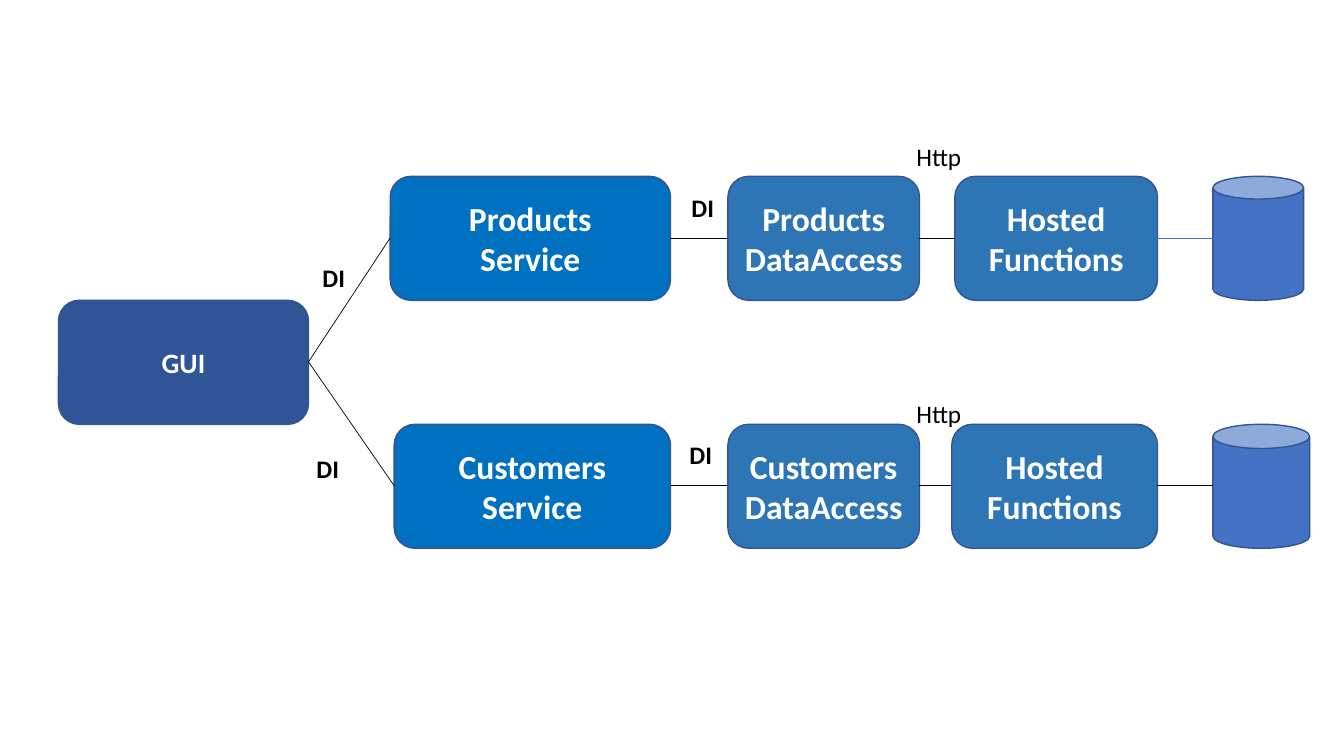
"""Build a slide showing a GUI with two service chains down to their databases."""
from itertools import pairwise

from lxml.etree import SubElement
from pptx import Presentation
from pptx.dml.color import RGBColor
from pptx.enum.shapes import MSO_CONNECTOR, MSO_SHAPE as SHAPE
from pptx.enum.text import MSO_ANCHOR, MSO_AUTO_SIZE, PP_ALIGN
from pptx.oxml.ns import qn
from pptx.util import Emu, Pt

PX = 9144
SLIDE_W, SLIDE_H = 1333, 750
BOX_H = 123
LABEL_H = 40
FONT = "Calibri"

WHITE = RGBColor(0xFF, 0xFF, 0xFF)
BLACK = RGBColor(0x00, 0x00, 0x00)
NAVY = RGBColor(0x2F, 0x55, 0x97)
BRIGHT_BLUE = RGBColor(0x00, 0x70, 0xC0)
STEEL = RGBColor(0x2E, 0x75, 0xB6)
ROYAL = RGBColor(0x44, 0x72, 0xC4)
OUTLINE = RGBColor(0x32, 0x54, 0x91)

GUI = ("GUI", 58, 248)
GUI_TOP = 298

CHAINS = [
    {
        "top": 175,
        "stages": [
            ("Products\nService", 387, 278, BRIGHT_BLUE),
            ("Products\nDataAccess", 722, 190, STEEL),
            ("Hosted\nFunctions", 947, 201, STEEL),
        ],
        "database": (1203, 90),
        "database_link": ROYAL,
    },
    {
        "top": 421,
        "stages": [
            ("Customers\nService", 391, 274, BRIGHT_BLUE),
            ("Customers\nDataAccess", 722, 190, STEEL),
            ("Hosted\nFunctions", 944, 204, STEEL),
        ],
        "database": (1203, 96),
        "database_link": BLACK,
    },
]

LABELS = [
    ("DI", 310, 255, 43, True),
    ("DI", 304, 445, 43, True),
    ("DI", 676, 186, 43, True),
    ("DI", 674, 431, 43, True),
    ("Http", 899, 135, 66, False),
    ("Http", 899, 390, 66, False),
]


def px(*lengths):
    return [Emu(length * PX) for length in lengths]


def write(frame, text, size, color, bold, align):
    frame.text = text
    for paragraph in frame.paragraphs:
        paragraph.alignment = align
        for run in paragraph.runs:
            run.font.name = FONT
            run.font.size = Pt(size)
            run.font.bold = bold
            run.font.color.rgb = color


def add_block(shapes, kind, left, top, width, fill, text="", size=24):
    block = shapes.add_shape(kind, *px(left, top, width, BOX_H))
    block.shadow.inherit = False
    block.fill.solid()
    block.fill.fore_color.rgb = fill
    block.line.color.rgb = OUTLINE
    block.line.width = Pt(1)
    if text:
        block.text_frame.vertical_anchor = MSO_ANCHOR.MIDDLE
        write(block.text_frame, text, size, WHITE, True, PP_ALIGN.CENTER)


def add_link(shapes, start, end, color):
    link = shapes.add_connector(MSO_CONNECTOR.STRAIGHT, *px(*start, *end))
    link.line.color.rgb = color
    link.line.width = Pt(0.5)
    SubElement(link._element.spPr, qn("a:effectLst"))


def add_label(shapes, text, left, top, width, bold):
    label = shapes.add_textbox(*px(left, top, width, LABEL_H))
    label.text_frame.word_wrap = False
    label.text_frame.auto_size = MSO_AUTO_SIZE.SHAPE_TO_FIT_TEXT
    write(label.text_frame, text, 18, BLACK, bold, PP_ALIGN.LEFT)


def add_chain(shapes, chain, gui_exit):
    top = chain["top"]
    middle = top + BOX_H // 2
    for text, left, width, fill in chain["stages"]:
        add_block(shapes, SHAPE.ROUNDED_RECTANGLE, left, top, width, fill, text)
    database_left, database_width = chain["database"]
    add_block(shapes, SHAPE.CAN, database_left, top, database_width, ROYAL)

    spans = [(left, left + width) for _, left, width, _ in chain["stages"]]
    spans.append((database_left, database_left + database_width))
    add_link(shapes, gui_exit, (spans[0][0], middle), BLACK)
    colors = [BLACK, BLACK, chain["database_link"]]
    for ((_, start), (end, _)), color in zip(pairwise(spans), colors):
        add_link(shapes, (start, middle), (end, middle), color)


def main():
    deck = Presentation()
    deck.slide_width, deck.slide_height = px(SLIDE_W, SLIDE_H)
    shapes = deck.slides.add_slide(deck.slide_layouts[6]).shapes

    gui_text, gui_left, gui_width = GUI
    add_block(shapes, SHAPE.ROUNDED_RECTANGLE, gui_left, GUI_TOP, gui_width, NAVY, gui_text, 20)
    gui_exit = (gui_left + gui_width, GUI_TOP + BOX_H // 2)
    for chain in CHAINS:
        add_chain(shapes, chain, gui_exit)
    for label in LABELS:
        add_label(shapes, *label)
    deck.save("out.pptx")


if __name__ == "__main__":
    main()
